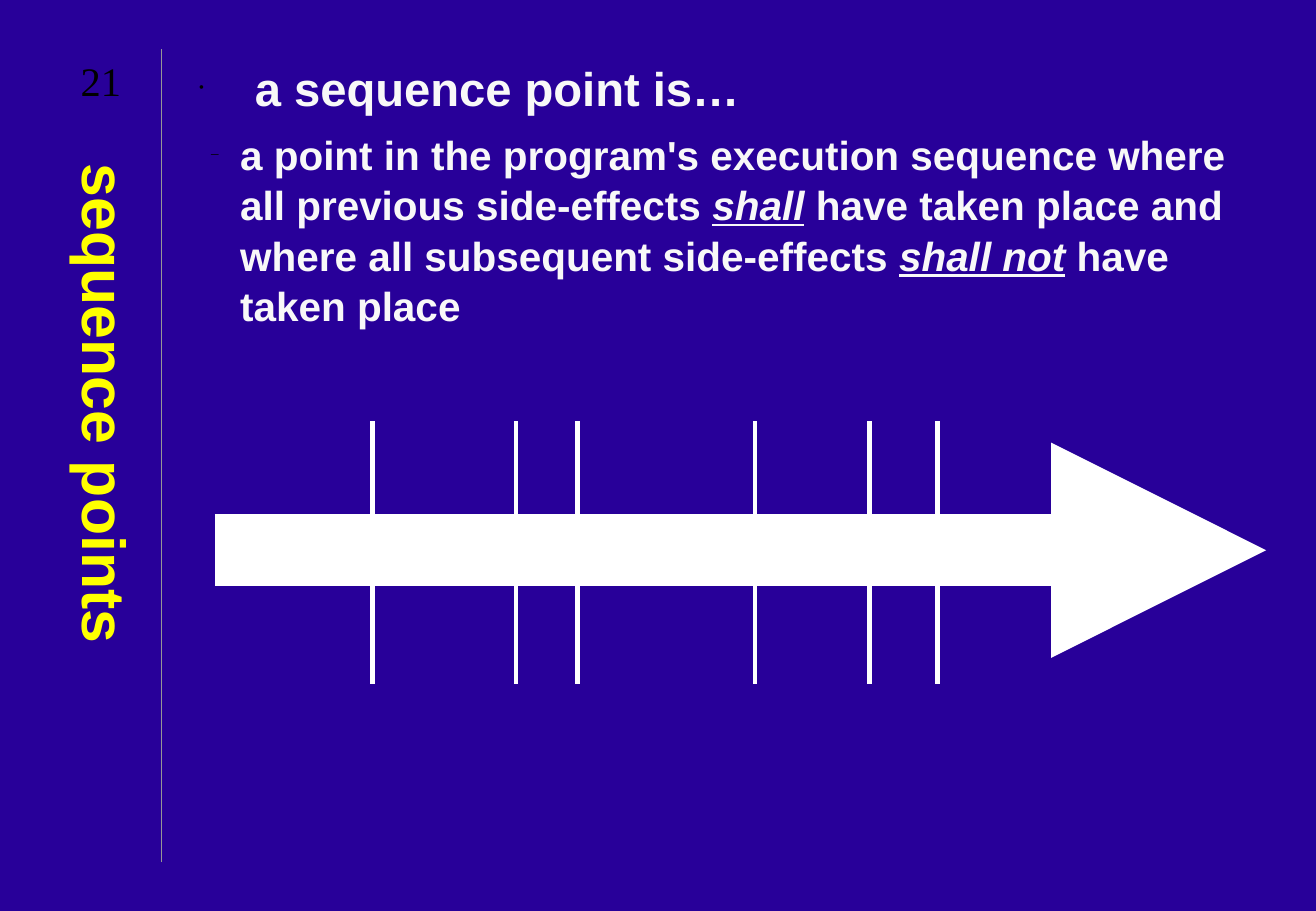
from lxml.etree import SubElement
from pptx import Presentation
from pptx.dml.color import RGBColor
from pptx.enum.shapes import MSO_CONNECTOR
from pptx.enum.text import MSO_ANCHOR, PP_ALIGN
from pptx.oxml.ns import qn
from pptx.util import Pt

PX = 9144
NAVY = RGBColor(0x28, 0x00, 0x99)
YELLOW = RGBColor(0xFF, 0xFF, 0x00)
WHITE = RGBColor(0xFF, 0xFF, 0xFF)
OFF_WHITE = RGBColor(0xF8, 0xF8, 0xF8)
GRAY = RGBColor(0x96, 0x96, 0x96)
BLACK = RGBColor(0x00, 0x00, 0x00)

prs = Presentation()
prs.slide_width, prs.slide_height = 1084 * PX, 750 * PX
s = prs.slides.add_slide(prs.slide_layouts[6])
s.background.fill.solid()
s.background.fill.fore_color.rgb = NAVY


def add_line(x1, y1, x2, y2, color, width):
    line = s.shapes.add_connector(
        MSO_CONNECTOR.STRAIGHT, x1 * PX, y1 * PX, x2 * PX, y2 * PX)
    line.line.color.rgb = color
    line.line.width = Pt(width)
    SubElement(line._element.spPr, qn("a:effectLst"))
    return line


def add_text(x, y, w, h, margin_x, margin_y):
    tf = s.shapes.add_textbox(x * PX, y * PX, w * PX, h * PX).text_frame
    tf.word_wrap = True
    tf.margin_left = tf.margin_right = margin_x * PX
    tf.margin_top = tf.margin_bottom = margin_y * PX
    return tf


add_line(133, 710, 133, 40, GRAY, 0.75)

tf = add_text(33, 125, 92, 583, 5, 10)
tf._txBody.bodyPr.set("vert", "eaVert")
p = tf.paragraphs[0]
p.text = "sequence points"
p.alignment = PP_ALIGN.CENTER
p.line_spacing = 1.04
f = p.runs[0].font
f.name, f.size, f.bold = "Arial", Pt(36), True
f.color.rgb = YELLOW

definition = [
    ("a point in the program's execution sequence where all previous side-effects ", False),
    ("shall", True),
    (" have taken place and where all subsequent side-effects ", False),
    ("shall not", True),
    (" have taken place", False),
]
points = [
    ([("a sequence point is…", False)], 28, 0, 58, 46, "•", 32),
    (definition, 24, 7, 46, 24, "–", 37),
]
tf = add_text(142, 42, 892, 667, 10, 5)
for i, (parts, size, before, margin, hang, bullet, percent) in enumerate(points):
    p = tf.add_paragraph() if i else tf.paragraphs[0]
    p.level = i
    p.line_spacing = 1.04
    p.space_before = Pt(before)
    pPr = p._p.get_or_add_pPr()
    pPr.set("marL", str(margin * PX))
    pPr.set("indent", str(-hang * PX))
    SubElement(SubElement(pPr, qn("a:buClr")), qn("a:srgbClr"), val=str(BLACK))
    SubElement(pPr, qn("a:buSzPct"), val=str(percent * 1000))
    SubElement(pPr, qn("a:buFont"), typeface="Times New Roman")
    SubElement(pPr, qn("a:buChar"), char=bullet)
    for text, stressed in parts:
        r = p.add_run()
        r.text = text
        f = r.font
        f.name, f.size, f.bold = "Arial", Pt(size), True
        f.italic = f.underline = stressed
        f.color.rgb = OFF_WHITE

timeline = add_line(177, 453, 1043, 453, WHITE, 42.52)
SubElement(timeline.line._get_or_add_ln(), qn("a:tailEnd"), type="triangle")
for x in (307, 425, 476, 622, 716, 772):
    add_line(x, 347, x, 563, WHITE, 2.83)

tf = add_text(42, 41, 82, 50, 10, 5)
tf.vertical_anchor = MSO_ANCHOR.MIDDLE
p = tf.paragraphs[0]
p.text = "21"
p.alignment = PP_ALIGN.CENTER
f = p.runs[0].font
f.name, f.size = "Times New Roman", Pt(24)
f.color.rgb = BLACK

prs.save("out.pptx")
